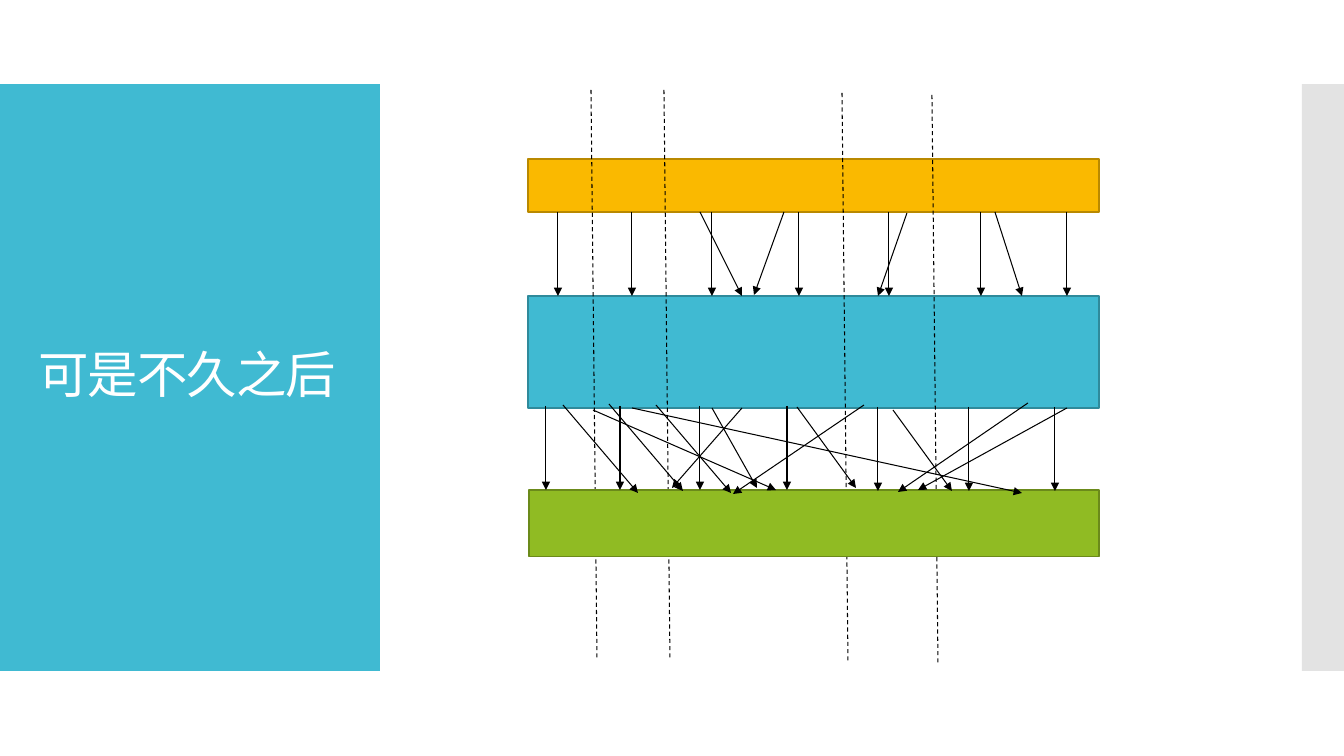
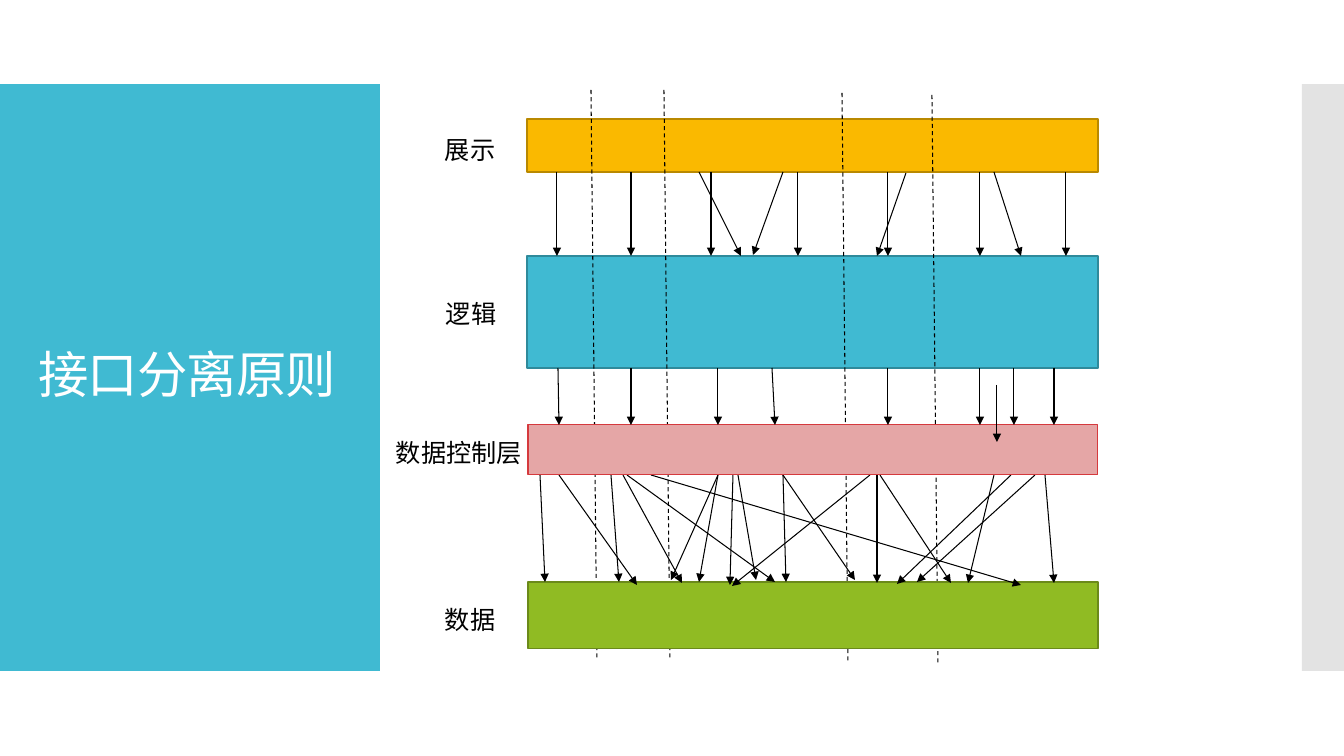
from pptx import Presentation
from pptx.dml.color import RGBColor
from pptx.enum.dml import MSO_LINE
from pptx.enum.shapes import MSO_CONNECTOR, MSO_SHAPE
from pptx.enum.text import MSO_ANCHOR, PP_ALIGN
from pptx.oxml.ns import qn
from pptx.util import Pt
from lxml.etree import SubElement

EMU_PER_PIXEL = 914400 / 100.8
FONT = "Lato"
WHITE = RGBColor(0xFF, 0xFF, 0xFF)
BLACK = RGBColor(0x00, 0x00, 0x00)
GREY = RGBColor(0xC8, 0xC8, 0xC8)
TEAL = RGBColor(0x40, 0xBA, 0xD2)
DARK_TEAL = RGBColor(0x2F, 0x8A, 0x9B)
AMBER = RGBColor(0xFA, 0xB9, 0x00)
DARK_AMBER = RGBColor(0xB9, 0x89, 0x00)
GREEN = RGBColor(0x90, 0xBB, 0x23)
DARK_GREEN = RGBColor(0x6B, 0x8A, 0x1A)
PINK = RGBColor(0xE5, 0xA6, 0xA6)
RED = RGBColor(0xD5, 0x39, 0x3D)

TITLE_BOX = (28, 124, 325, 507)
TITLE_BAND = (0, 84, 380, 587)
EDGE_BAND = (1302, 84, 42, 587)

DISPLAY_LAYER = (528, 159, 571, 53)
LOGIC_LAYER = (528, 296, 571, 112)
DATA_LAYER = (529, 490, 570, 67)
CONTROL_LAYER = (528, 425, 570, 50)

DIVIDER_TOPS = [(664, 90), (842, 93), (932, 95), (591, 90)]
DIVIDER_RUN = (6, 568)

DISPLAY_CALLS = [(x, 212, x, 296) for x in (558, 632, 712, 799, 889, 981, 1067)] + [
    (995, 212, 1022, 296),
    (907, 213, 878, 296),
    (784, 212, 754, 295),
    (700, 212, 742, 296),
]

# fields: start x, start y, end x, end y, start x below the control layer
DATA_CALLS = [
    (546, 406, 546, 490, 540),
    (620, 406, 620, 490, 611),
    (1055, 407, 1055, 491, 1045),
    (700, 406, 700, 490, 718),
    (787, 406, 787, 490, 783),
    (878, 407, 878, 491, 877),
    (969, 407, 969, 491, 994),
    (632, 408, 1022, 493, 651),
    (1067, 408, 918, 490, 1035),
    (712, 408, 757, 488, 738),
    (742, 408, 672, 488, 718),
    (656, 405, 731, 493, 733),
    (563, 405, 638, 493, 559),
    (609, 404, 683, 491, 623),
    (797, 407, 856, 488, 783),
    (893, 410, 952, 491, 880),
    (1028, 403, 898, 492, 1011),
    (864, 405, 733, 494, 870),
    (593, 410, 776, 490, 627),
]

CONTROL_CALLS = [
    (start, 368, end, 425)
    for start, end in [(558, 559), (631, 631), (718, 718), (772, 775),
                       (1054, 1054), (980, 980), (1014, 1014), (888, 888)]
] + [(997, 385, 997, 442)]

LABELS = [
    ("展示", 435, 129, 82),
    ("逻辑", 436, 293, 82),
    ("数据控制层", 386, 432, 156),
    ("数据", 435, 599, 104),
]
LABEL_HEIGHT = 40

DIAGRAMS = [
    {"title": "可是不久之后", "upper": (0, 0), "lower": (0, 0), "control": False},
    {"title": "接口分离原则", "upper": (-1, -40), "lower": (-1, 92), "control": True},
]


def emu(*pixels):
    return [round(pixel * EMU_PER_PIXEL) for pixel in pixels]


def shifted(box, shift):
    return (box[0] + shift[0], box[1] + shift[1], *box[2:])


def add_band(slide, box, fill, outline=None, width=0.85):
    band = slide.shapes.add_shape(MSO_SHAPE.RECTANGLE, *emu(*box))
    band.shadow.inherit = False
    band.fill.solid()
    band.fill.fore_color.rgb = fill
    if outline is None:
        band.line.fill.background()
    else:
        band.line.color.rgb = outline
        band.line.width = Pt(width)
    return band


def add_line(slide, ends, dashed=False):
    line = slide.shapes.add_connector(MSO_CONNECTOR.STRAIGHT, *emu(*ends))
    line.line.color.rgb = BLACK
    line.line.width = Pt(0.75)
    if dashed:
        line.line.dash_style = MSO_LINE.DASH
    else:
        outline = line.element.spPr.find(qn("a:ln"))
        SubElement(outline, qn("a:tailEnd"), type="triangle")
    SubElement(line.element.spPr, qn("a:effectLst"))


def add_arrows(slide, arrows, shift=(0, 0)):
    dx, dy = shift
    for x1, y1, x2, y2 in arrows:
        add_line(slide, (x1 + dx, y1 + dy, x2 + dx, y2 + dy))


def format_run(paragraph, size, color):
    font = paragraph.runs[0].font
    font.name = FONT
    font.size = Pt(size)
    font.color.rgb = color
    return font


def set_title(slide, wording):
    frame = slide.shapes.title.text_frame
    frame.text = wording
    frame.vertical_anchor = MSO_ANCHOR.MIDDLE
    heading = frame.paragraphs[0]
    heading.alignment = PP_ALIGN.LEFT
    heading.line_spacing = 0.9
    format_run(heading, 36, WHITE)
    heading.runs[0].font._element.set("spc", "-60")


def add_label(slide, wording, left, top, width):
    label = slide.shapes.add_textbox(*emu(left, top, width, LABEL_HEIGHT))
    label.text_frame.word_wrap = True
    label.text_frame.text = wording
    format_run(label.text_frame.paragraphs[0], 18, BLACK)


def prepare_layout(layout, slide):
    for placeholder in list(layout.placeholders)[1:]:
        placeholder.element.getparent().remove(placeholder.element)
    title = layout.placeholders[0]
    title.left, title.top, title.width, title.height = emu(*TITLE_BOX)
    title_band = add_band(slide, TITLE_BAND, TEAL)
    edge_band = add_band(slide, EDGE_BAND, GREY)
    edge_color = edge_band.element.spPr.find(".//" + qn("a:srgbClr"))
    SubElement(edge_color, qn("a:alpha"), val="50000")
    for band in (edge_band, title_band):
        layout.shapes.element.insert(2, band.element)


def draw_diagram(slide, diagram):
    upper, lower = diagram["upper"], diagram["lower"]
    set_title(slide, diagram["title"])
    add_band(slide, shifted(DISPLAY_LAYER, upper), AMBER, DARK_AMBER)
    add_band(slide, shifted(LOGIC_LAYER, upper), TEAL, DARK_TEAL)
    add_arrows(slide, DISPLAY_CALLS, upper)
    for x, y in DIVIDER_TOPS:
        add_line(slide, (x, y, x + DIVIDER_RUN[0], y + DIVIDER_RUN[1]), dashed=True)
    add_band(slide, shifted(DATA_LAYER, lower), GREEN, DARK_GREEN)
    if not diagram["control"]:
        add_arrows(slide, [call[:4] for call in DATA_CALLS], lower)
        return
    control_bottom = CONTROL_LAYER[1] + CONTROL_LAYER[3]
    for _, _, end_x, end_y, start_x in DATA_CALLS:
        add_line(slide, (start_x, control_bottom, end_x + lower[0], end_y + lower[1]))
    add_band(slide, CONTROL_LAYER, PINK, RED, 0.75)
    add_arrows(slide, CONTROL_CALLS)
    for label in LABELS:
        add_label(slide, *label)


deck = Presentation()
deck.slide_width, deck.slide_height = emu(1344, 756)
title_only = deck.slide_layouts[5]
slides = [deck.slides.add_slide(title_only) for _ in DIAGRAMS]
prepare_layout(title_only, slides[0])
for slide, diagram in zip(slides, DIAGRAMS):
    draw_diagram(slide, diagram)
deck.save("out.pptx")
